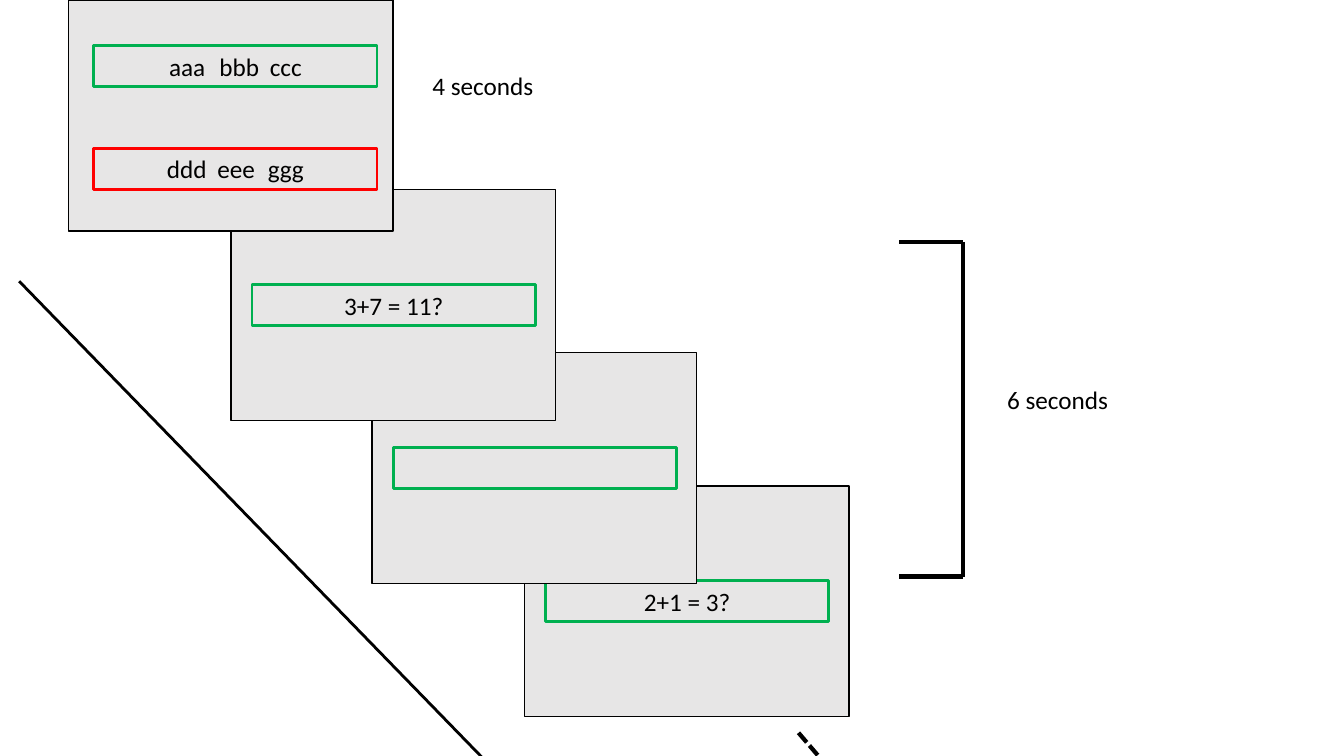
from dataclasses import dataclass

from lxml.etree import SubElement
from pptx import Presentation
from pptx.dml.color import RGBColor
from pptx.enum.dml import MSO_LINE
from pptx.enum.shapes import MSO_CONNECTOR, MSO_SHAPE
from pptx.enum.text import MSO_ANCHOR, MSO_AUTO_SIZE, PP_ALIGN
from pptx.oxml.ns import qn
from pptx.shapes.connector import Connector
from pptx.shapes.shapetree import GroupShapes
from pptx.slide import Slide
from pptx.text.text import TextFrame
from pptx.util import Inches, Pt

BLACK = RGBColor(0x00, 0x00, 0x00)
GREY = RGBColor(0xE7, 0xE6, 0xE6)
GREEN = RGBColor(0x00, 0xB0, 0x50)
RED = RGBColor(0xFF, 0x00, 0x00)

SCREEN_SIZE = (3.22, 2.29)
FRAME_SIZE = (2.81, 0.41)


@dataclass(frozen=True)
class Frame:
    text: str = ""
    dx: float = 0.21
    dy: float = 0.94
    colour: RGBColor = GREEN


@dataclass(frozen=True)
class Screen:
    left: float
    top: float
    frames: tuple[Frame, ...]


@dataclass(frozen=True)
class Duration:
    text: str
    left: float
    top: float


SCREENS = (
    Screen(5.2, 4.82, (Frame("2+1 = 3?"),)),
    Screen(3.69, 3.5, (Frame(),)),
    Screen(2.29, 1.88, (Frame("3+7 = 11?"),)),
    Screen(0.68, 0, (
        Frame("aaa\tbbb\tccc", 0.25, 0.45),
        Frame("ddd\teee\tggg", 0.25, 1.47, RED),
    )),
)
DURATIONS = (Duration("4 seconds", 4.19, 0.65), Duration("6 seconds", 9.89, 3.76))
BRACKET = ((8.92, 2.4), (9.55, 2.4), (9.55, 5.72), (8.92, 5.72))


def write(frame: TextFrame, text: str, *, size: float = 18, font: str = "Calibri",
          colour: RGBColor = BLACK, align: PP_ALIGN = PP_ALIGN.LEFT,
          anchor: MSO_ANCHOR = MSO_ANCHOR.TOP, wrap: bool = True) -> None:
    frame.word_wrap = wrap
    frame.vertical_anchor = anchor
    paragraph = frame.paragraphs[0]
    paragraph.alignment = align
    run = paragraph.add_run()
    run.text = text
    run.font.size = Pt(size)
    run.font.name = font
    run.font.color.rgb = colour


def add_box(shapes: GroupShapes, left: float, top: float, size: tuple[float, float],
            outline: RGBColor, weight: float, text: str = "") -> None:
    width, height = size
    box = shapes.add_shape(MSO_SHAPE.RECTANGLE, Inches(left), Inches(top),
                           Inches(width), Inches(height))
    box.shadow.inherit = False
    box.fill.solid()
    box.fill.fore_color.rgb = GREY
    box.line.color.rgb = outline
    box.line.width = Pt(weight)
    if text:
        write(box.text_frame, text, align=PP_ALIGN.CENTER, anchor=MSO_ANCHOR.MIDDLE)


def add_screen(slide: Slide, screen: Screen) -> None:
    shapes = slide.shapes.add_group_shape().shapes
    add_box(shapes, screen.left, screen.top, SCREEN_SIZE, BLACK, 1)
    for frame in screen.frames:
        add_box(shapes, screen.left + frame.dx, screen.top + frame.dy, FRAME_SIZE,
                frame.colour, 2, frame.text)


def add_line(slide: Slide, start: tuple[float, float], end: tuple[float, float],
             weight: float) -> Connector:
    line = slide.shapes.add_connector(
        MSO_CONNECTOR.STRAIGHT, *(Inches(value) for value in (*start, *end)))
    line.line.color.rgb = BLACK
    line.line.width = Pt(weight)
    SubElement(line._element.spPr, qn("a:effectLst"))
    return line


def add_duration(slide: Slide, duration: Duration) -> None:
    label = slide.shapes.add_textbox(Inches(duration.left), Inches(duration.top),
                                     Inches(1.21), Inches(0.4))
    write(label.text_frame, duration.text, wrap=False)
    label.text_frame.auto_size = MSO_AUTO_SIZE.SHAPE_TO_FIT_TEXT


def main() -> None:
    presentation = Presentation()
    presentation.slide_width = Inches(13.33)
    presentation.slide_height = Inches(7.5)
    slide = presentation.slides.add_slide(presentation.slide_layouts[6])

    for screen in SCREENS:
        add_screen(slide, screen)

    time_axis = add_line(slide, (0.19, 2.79), (7.8, 10.62), 2)
    SubElement(time_axis.line._get_or_add_ln(), qn("a:tailEnd"), type="triangle")
    continuation = add_line(slide, (7.92, 7.27), (8.22, 7.62), 3)
    continuation.line.dash_style = MSO_LINE.SQUARE_DOT

    for start, end in zip(BRACKET, BRACKET[1:]):
        add_line(slide, start, end, 3)
    for duration in DURATIONS:
        add_duration(slide, duration)

    presentation.save("out.pptx")


main()
